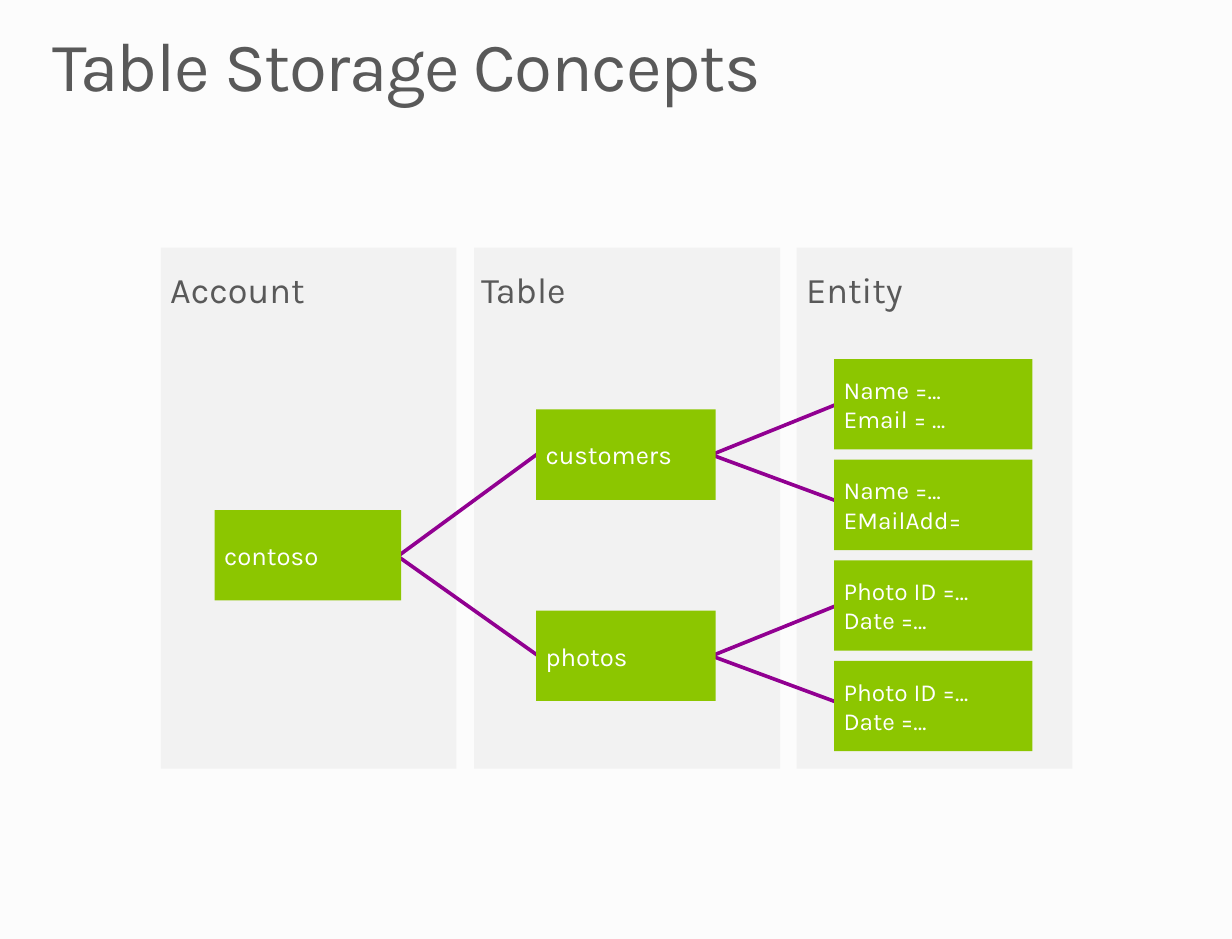
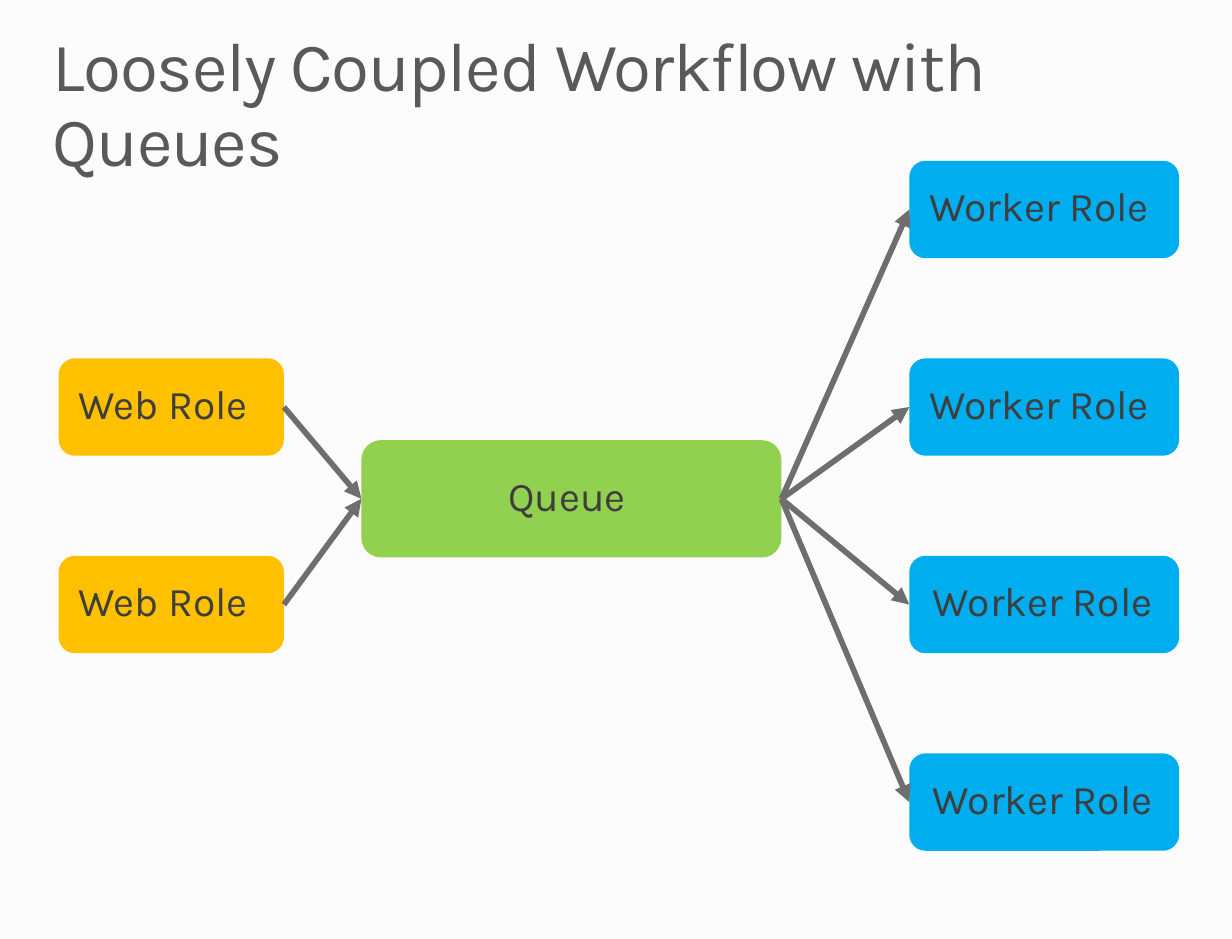
from lxml import etree
from pptx import Presentation
from pptx.dml.color import RGBColor
from pptx.enum import shapes, text
from pptx.oxml import ns
from pptx import util as u

COLORS = {
    "background": "FCFCFC", "heading": "595959", "panel": "F2F2F2",
    "entry": "8CC600", "branch": "910091", "white": "FFFFFF",
    "web": "FFC000", "queue": "92D050", "worker": "00AEEF",
    "arrow": "6E6E6E", "label": "3E3E3E",
}
FONT = "Karla"
COLUMNS, ROWS = 105, 80
LEFT_SITE, RIGHT_SITE = 1, 3
GROW = text.MSO_AUTO_SIZE.SHAPE_TO_FIT_TEXT
FIXED = text.MSO_AUTO_SIZE.NONE
TOP, MIDDLE = text.MSO_ANCHOR.TOP, text.MSO_ANCHOR.MIDDLE


def color(name):
    return RGBColor.from_string(COLORS[name])


def apply(target, values):
    for name, value in values.items():
        setattr(target, name, value)


class Deck:
    def __init__(self):
        self.presentation = Presentation()
        apply(self.presentation, {"slide_width": u.Inches(10.5), "slide_height": u.Inches(8)})
        fill = self.presentation.slide_master.background.fill
        fill.solid()
        fill.fore_color.rgb = color("background")
        self.slide = None

    def x(self, column):
        return round(self.presentation.slide_width * column / COLUMNS)

    def y(self, row):
        return round(self.presentation.slide_height * row / ROWS)

    def place(self, column, row, width, height):
        return self.x(column), self.y(row), self.x(width), self.y(height)

    def fill_text(self, shape, lines, size, ink, inset=(0, 0, 0, 0), anchor=TOP,
                  grow=FIXED, line_spacing=0.9):
        frame = shape.text_frame
        frame.text = "\n".join(lines)
        margins = ("margin_left", "margin_top", "margin_right", "margin_bottom")
        apply(frame, dict(zip(margins, map(u.Inches, inset))))
        apply(frame, {"word_wrap": True, "auto_size": grow, "vertical_anchor": anchor})
        for paragraph in frame.paragraphs:
            apply(paragraph, {"alignment": text.PP_ALIGN.LEFT, "line_spacing": line_spacing,
                              "space_before": u.Pt(0)})
            for run in paragraph.runs:
                apply(run.font, {"name": FONT, "size": u.Pt(size)})
                run.font.color.rgb = color(ink)

    def add_slide(self, title):
        self.slide = self.presentation.slides.add_slide(self.presentation.slide_layouts[5])
        shape = self.slide.shapes.title
        apply(shape, dict(zip(("left", "top", "width", "height"),
                              self.place(4.5, 2.7, 96, 6.4))))
        self.fill_text(shape, [title], 42.5, "heading", grow=GROW)
        for run in shape.text_frame.paragraphs[0].runs:
            run._r.get_or_add_rPr().set("spc", "-80")

    def box(self, area, fill, kind=shapes.MSO_SHAPE.RECTANGLE):
        shape = self.slide.shapes.add_shape(kind, *self.place(*area))
        shape.shadow.inherit = False
        shape.fill.solid()
        shape.fill.fore_color.rgb = color(fill)
        shape.line.fill.background()
        return shape

    def rounded(self, area, fill):
        return self.box(area, fill, shapes.MSO_SHAPE.ROUNDED_RECTANGLE)

    def entry(self, area, lines, size):
        self.fill_text(self.box(area, "entry"), lines, size, "white",
                       inset=(0.08, 0.04, 0.08, 0.04), anchor=MIDDLE, line_spacing=1)

    def label(self, area, words, size=25, ink="label", inset=(0, 0, 0, 0), grow=GROW):
        shape = self.slide.shapes.add_textbox(*self.place(*area))
        self.fill_text(shape, [words], size, ink, inset=inset, grow=grow)

    def panel(self, column, width, heading, label_column):
        self.box((column, 21.1, width, 44.4), "panel")
        self.label((label_column, 21.1, width, 14.9), heading, 22.1, "heading",
                   (0.08, 0.21, 0.21, 0.21), FIXED)

    def line(self, start, end, ink, weight):
        connector = self.slide.shapes.add_connector(
            shapes.MSO_CONNECTOR.STRAIGHT,
            self.x(start[0]), self.y(start[1]), self.x(end[0]), self.y(end[1]))
        connector.line.color.rgb = color(ink)
        connector.line.width = u.Pt(weight)
        etree.SubElement(connector._element.spPr, ns.qn("a:effectLst"))
        return connector

    def arrow(self, source, target):
        connector = self.line((0, 0), (1, 1), "arrow", 3.5)
        connector.begin_connect(source, RIGHT_SITE)
        connector.end_connect(target, LEFT_SITE)
        outline = connector._element.spPr.get_or_add_ln()
        etree.SubElement(outline, ns.qn("a:tailEnd"), type="triangle")


def table_storage(deck):
    deck.add_slide("Table Storage Concepts")
    for panel in ((67.9, 23.5, "Entity", 67.9), (40.4, 26.1, "Table", 40.2),
                  (13.7, 25.2, "Account", 13.7)):
        deck.panel(*panel)

    entities = (("Name =…", "Email = …"), ("Name =…", "EMailAdd="),
                ("Photo ID =…", "Date =…"), ("Photo ID =…", "Date =…"))
    pitch, height = 8.57, 7.7
    entity_rows = [30.6 + pitch * index for index in range(len(entities))]
    table_rows = [entity_rows[index] + pitch / 2 for index in (0, 2)]
    account_row = sum(table_rows) / 2

    deck.line((32.3, account_row + 2.8), (48.1, account_row + 14), "branch", 2.25)
    deck.line((33, account_row + 4.6), (47.2, account_row - 5.8), "branch", 2.25)
    for row in table_rows:
        deck.line((59.4, row + 3.4), (73.2, row + 8.5), "branch", 2.25)
        deck.line((59.8, row + 4.2), (73.2, row - 1.2), "branch", 2.25)

    deck.entry((18.3, account_row, 15.9, height), ["contoso"], 15.8)
    for row, name in zip(table_rows, ("customers", "photos")):
        deck.entry((45.7, row, 15.3, height), [name], 15.8)
    for row, properties in zip(entity_rows, entities):
        deck.entry((71.1, row, 16.9, height), properties, 15)


def queue_workflow(deck):
    deck.add_slide("Loosely Coupled Workflow with Queues")
    rows = [13.7 + 16.83 * index for index in range(4)]
    web_roles = [deck.rounded((5, row, 19.2, 8.3), "web") for row in rows[1:3]]
    queue = deck.rounded((30.8, 37.5, 35.8, 10), "queue")
    workers = [deck.rounded((77.5, row, 23, 8.3), "worker") for row in rows]

    for web_role in web_roles:
        deck.arrow(web_role, queue)
    for worker in workers:
        deck.arrow(queue, worker)

    for row in rows[1:3]:
        deck.label((6.7, row + 2.2, 15.8, 3.8), "Web Role")
    deck.label((43.3, 40.6, 15.8, 3.8), "Queue")
    for column, row in zip((79.2, 79.2, 79.5, 79.5), rows):
        deck.label((column, row + 2.2, 19.2, 3.8), "Worker Role")


def main():
    deck = Deck()
    table_storage(deck)
    queue_workflow(deck)
    deck.presentation.save("out.pptx")


if __name__ == "__main__":
    main()
